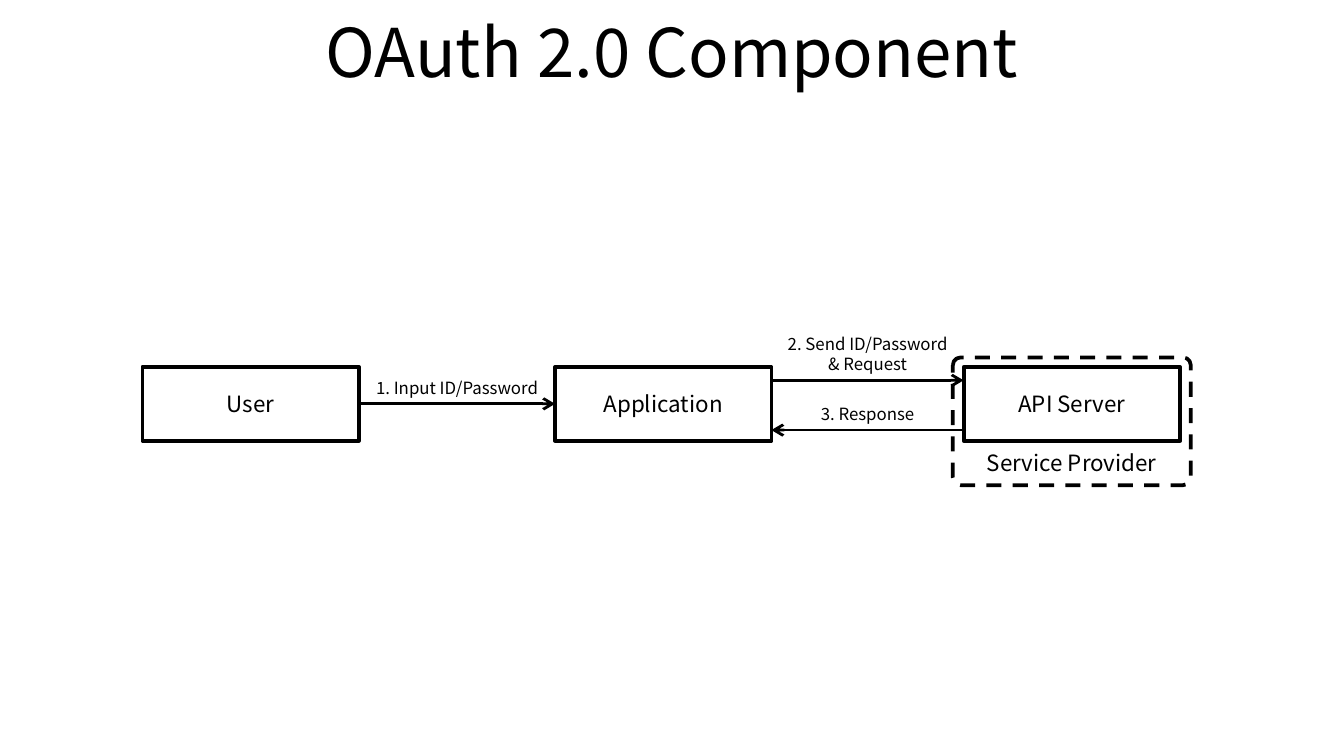
from lxml.etree import SubElement
from pptx import Presentation
from pptx.dml.color import RGBColor
from pptx.enum.dml import MSO_LINE as Dash
from pptx.enum.shapes import MSO_CONNECTOR as Connector, MSO_SHAPE as Shape
from pptx.enum.text import MSO_ANCHOR as Anchor, PP_ALIGN as Align
from pptx.oxml.ns import qn
from pptx.util import Inches, Pt

WIDTH = 10
HEIGHT = WIDTH * 9 / 16
FONT = "Noto Sans CJK KR"
BLACK, WHITE = "000000", "FFFFFF"
BOX_WIDTH, BOX_HEIGHT, BOX_TOP = 1.61, 0.55, 2.73
COLUMNS = {"User": 1.06, "Application": 4.13, "API Server": 7.17}
LABEL_WIDTH = 1.93


def color(value):
    """Turn a hex string into a colour."""
    return RGBColor.from_string(value)


def inches(*lengths):
    """Convert lengths to slide units."""
    return [Inches(length) for length in lengths]


def write(shape, text, size=12, anchor=Anchor.MIDDLE):
    """Fill a shape with centred text, one paragraph per line."""
    frame = shape.text_frame
    frame.word_wrap = True
    frame.vertical_anchor = anchor
    frame.text = text
    for paragraph in frame.paragraphs:
        paragraph.alignment = Align.CENTER
        for run in paragraph.runs:
            run.font.name = FONT
            run.font.size = Pt(size)
            run.font.color.rgb = color(BLACK)
            SubElement(run.font._element, qn("a:ea"), typeface=FONT)


def add_title(slide, box, text):
    """Place the slide title in the given box."""
    title = slide.shapes.title
    title.left, title.top, title.width, title.height = inches(*box)
    write(title, text, size=36)


def add_box(slide, box, text, corner=0, dash=None, anchor=Anchor.MIDDLE):
    """Add an outlined box with a caption."""
    shape = slide.shapes.add_shape(Shape.ROUNDED_RECTANGLE, *inches(*box))
    shape.adjustments[0] = corner
    shape.shadow.inherit = False
    shape.fill.solid()
    shape.fill.fore_color.rgb = color(WHITE)
    shape.line.color.rgb = color(BLACK)
    shape.line.width = Pt(2)
    shape.line.dash_style = dash
    write(shape, text, anchor=anchor)
    return shape


def add_arrow(slide, start, end, y):
    """Add a horizontal arrow from start to end."""
    arrow = slide.shapes.add_connector(Connector.STRAIGHT, *inches(start, y, end, y))
    arrow.line.color.rgb = color(BLACK)
    arrow.line.width = Pt(1.5)
    SubElement(arrow.line._get_or_add_ln(), qn("a:tailEnd"), type="arrow")
    SubElement(arrow._element.spPr, qn("a:effectLst"))
    return arrow


def add_label(slide, center, bottom, text):
    """Add a small label centred above an arrow."""
    height = 0.1 + 0.15 * len(text.split("\n"))
    box = center - LABEL_WIDTH / 2, bottom - height, LABEL_WIDTH, height
    write(slide.shapes.add_textbox(*inches(*box)), text, size=9)


def add_flow(slide, top):
    """Draw the components and the messages between them."""
    margin = 0.08
    provider = (COLUMNS["API Server"] - margin, top - margin + 0.01,
                BOX_WIDTH + 2 * margin, 0.95)
    add_box(slide, provider, "Service Provider", corner=0.06,
            dash=Dash.DASH, anchor=Anchor.BOTTOM)
    user, application, _ = [
        add_box(slide, (left, top, BOX_WIDTH, BOX_HEIGHT), name)
        for name, left in COLUMNS.items()
    ]
    user_left, app_left, api_left = COLUMNS.values()
    user_right, app_right = user_left + BOX_WIDTH, app_left + BOX_WIDTH
    first_gap, second_gap = (user_right + app_left) / 2, (app_right + api_left) / 2

    login = add_arrow(slide, user_right, app_left, top + BOX_HEIGHT / 2)
    login.begin_connect(user, 3)
    login.end_connect(application, 1)
    add_arrow(slide, app_right, api_left, top + 0.1)
    add_arrow(slide, api_left, app_right, top + 0.47)

    add_label(slide, first_gap, top + 0.28, "1. Input ID/Password")
    add_label(slide, second_gap, top + 0.1, "2. Send ID/Password\n& Request")
    add_label(slide, second_gap, top + 0.47, "3. Response")


def main():
    """Build and save the slide."""
    presentation = Presentation()
    presentation.slide_width, presentation.slide_height = inches(WIDTH, HEIGHT)
    slide = presentation.slides.add_slide(presentation.slide_layouts[5])
    add_title(slide, (0.05 * WIDTH, -0.02, 0.9 * WIDTH, 0.79), "OAuth 2.0 Component")
    add_flow(slide, BOX_TOP)
    presentation.save("out.pptx")


if __name__ == "__main__":
    main()
